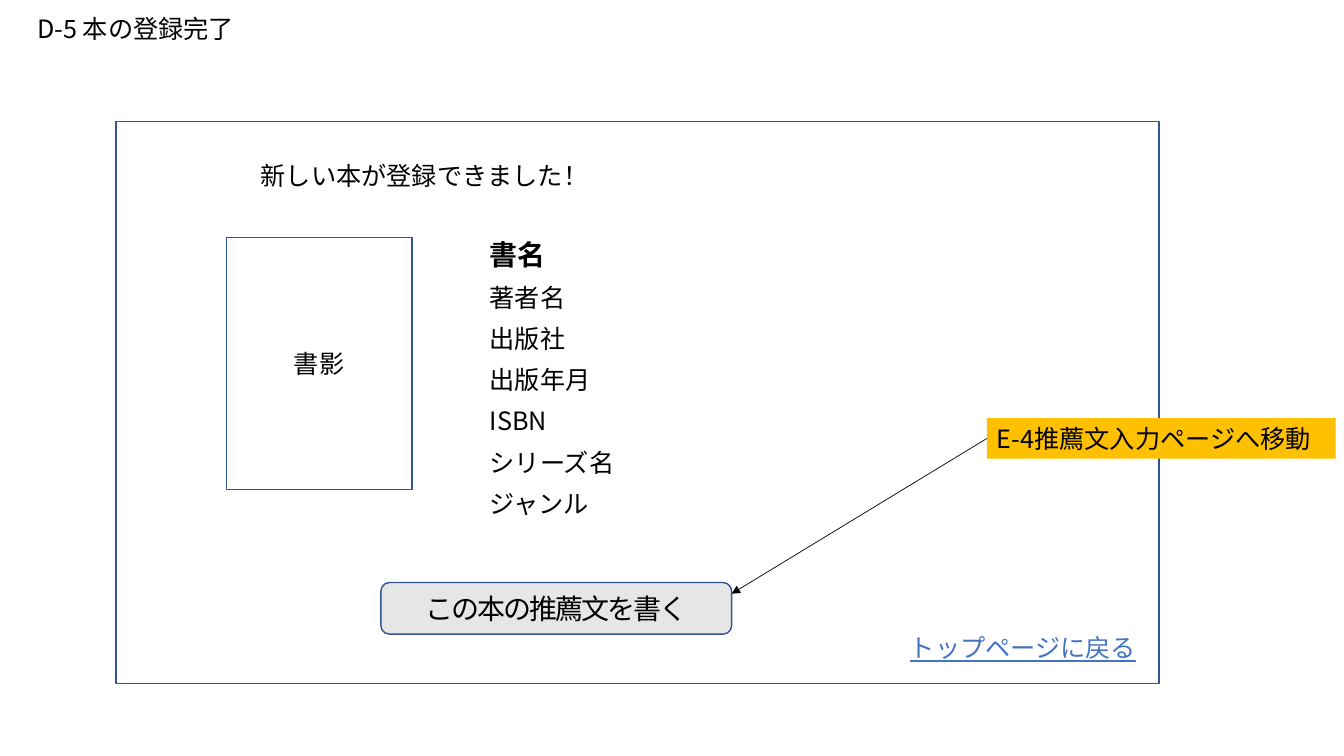
from lxml import etree
from pptx import Presentation
from pptx import util as u
from pptx.dml.color import RGBColor
from pptx.enum import shapes, text
from pptx.oxml.ns import qn

FONT = "Noto Sans CJK JP"
COLORS = {"text": "000000", "border": "325491", "button": "E7E6E6",
          "note": "FFC000", "link": "4472C4"}
LINE_H = 1.02
FIELDS = ["著者名", "出版社", "出版年月", "ISBN", "シリーズ名", "ジャンル"]


def rgb(name):
    """Return the named colour."""
    return RGBColor.from_string(COLORS[name])


def write(sp, words, size=18, color="text", bold=None, underline=None,
          align=None, spacing=None, wrap=True):
    """Fill a shape with one styled paragraph."""
    tf = sp.text_frame
    tf.word_wrap = wrap
    p = tf.paragraphs[0]
    p.text = words
    p.alignment = align
    font = p.font
    font.name, font.size = FONT, u.Pt(size)
    font.bold, font.underline = bold, underline
    font.color.rgb = rgb(color)
    props = p._p.pPr.find(qn("a:defRPr"))
    etree.SubElement(props, qn("a:ea")).set("typeface", FONT)
    if spacing is not None:
        props.set("spc", str(int(spacing * 100)))


def add_text(s, x, y, w, h, words, **style):
    """Add a text box, in centimetres."""
    sp = s.shapes.add_textbox(u.Cm(x), u.Cm(y), u.Cm(w), u.Cm(h))
    write(sp, words, **style)


def add_box(s, x, y, w, h, fill=None, border="border",
            kind=shapes.MSO_SHAPE.RECTANGLE):
    """Add a preset shape, in centimetres, with optional fill and border."""
    sp = s.shapes.add_shape(kind, u.Cm(x), u.Cm(y), u.Cm(w), u.Cm(h))
    sp.shadow.inherit = False
    if fill:
        sp.fill.solid()
        sp.fill.fore_color.rgb = rgb(fill)
    else:
        sp.fill.background()
    if border:
        sp.line.color.rgb = rgb(border)
        sp.line.width = u.Pt(1)
    else:
        sp.line.fill.background()
    return sp


def add_arrow(s, x1, y1, x2, y2):
    """Add a thin line with an arrowhead at its end, in centimetres."""
    line = s.shapes.add_connector(shapes.MSO_CONNECTOR.STRAIGHT,
                                  u.Cm(x1), u.Cm(y1), u.Cm(x2), u.Cm(y2))
    line.line.color.rgb = rgb("text")
    line.line.width = u.Pt(0.5)
    etree.SubElement(line.line._get_or_add_ln(), qn("a:tailEnd")).set("type", "triangle")
    etree.SubElement(line._element.spPr, qn("a:effectLst"))


def book_details(s, x, y, w):
    """List the book title and its evenly spaced fields."""
    title_h, pitch = 1.12, 1.04
    add_text(s, x, y, w, title_h, "書名", size=20, bold=True)
    for i, field in enumerate(FIELDS):
        add_text(s, x, y + title_h + i * pitch, w, LINE_H, field)


def completion_page(s, x, y, w, h):
    """Draw the page mock-up: frame, message, book, button and link."""
    center = text.PP_ALIGN.CENTER
    add_box(s, x, y, w, h)
    add_text(s, x + 3.4, y + 0.84, 8.84, LINE_H, "新しい本が登録できました！", wrap=False)
    cover = add_box(s, x + 2.79, y + 2.92, 4.67, 6.35)
    write(cover, "書影", align=center)
    book_details(s, x + 9.17, y + 2.79, 4.06)
    button = add_box(s, x + 6.68, y + 11.61, 8.84, 1.3, fill="button",
                     kind=shapes.MSO_SHAPE.ROUNDED_RECTANGLE)
    write(button, "この本の推薦文を書く", size=20, align=center, spacing=-1.5)
    add_text(s, x + w - 6.53, y + 12.73, 6.27, LINE_H, "トップページに戻る",
             color="link", underline=True, wrap=False)


def transition_note(s, x, y, w, h, target):
    """Add the destination note and its arrow to the target point."""
    note = add_box(s, x, y, w, h, fill="note", border=None)
    write(note, "E-4推薦文入力ページへ移動", align=text.PP_ALIGN.LEFT)
    add_arrow(s, x, y + h / 2, *target)


def main():
    """Build the slide and save it."""
    prs = Presentation()
    prs.slide_width, prs.slide_height = u.Cm(33.87), u.Cm(19.05)
    s = prs.slides.add_slide(prs.slide_layouts[6])
    add_text(s, 0.69, 0.2, 5.66, LINE_H, "D-5 本の登録完了", wrap=False)
    completion_page(s, 2.92, 3.07, 26.29, 14.15)
    transition_note(s, 24.87, 10.54, 8.79, LINE_H, target=(18.44, 14.96))
    prs.save("out.pptx")


main()
